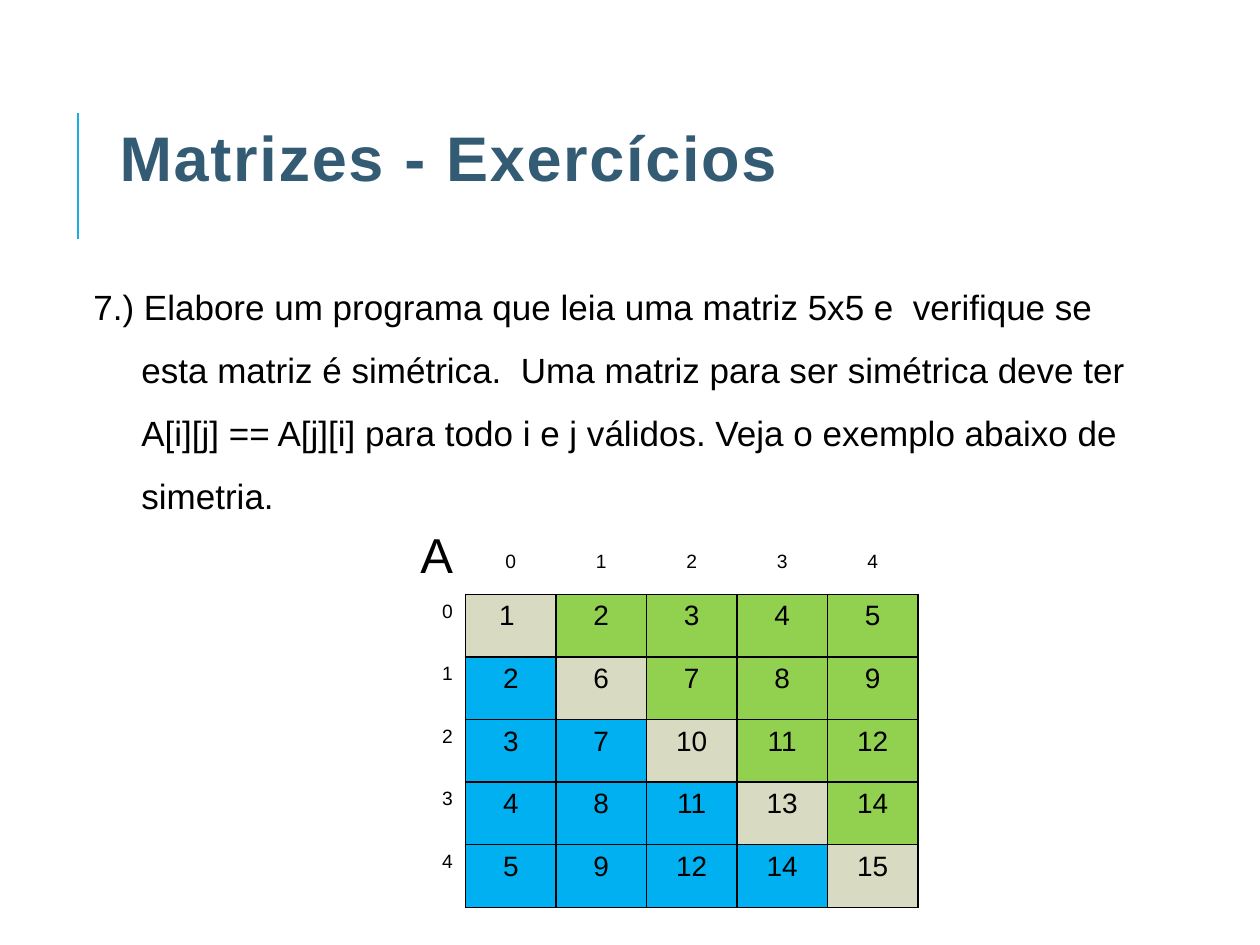
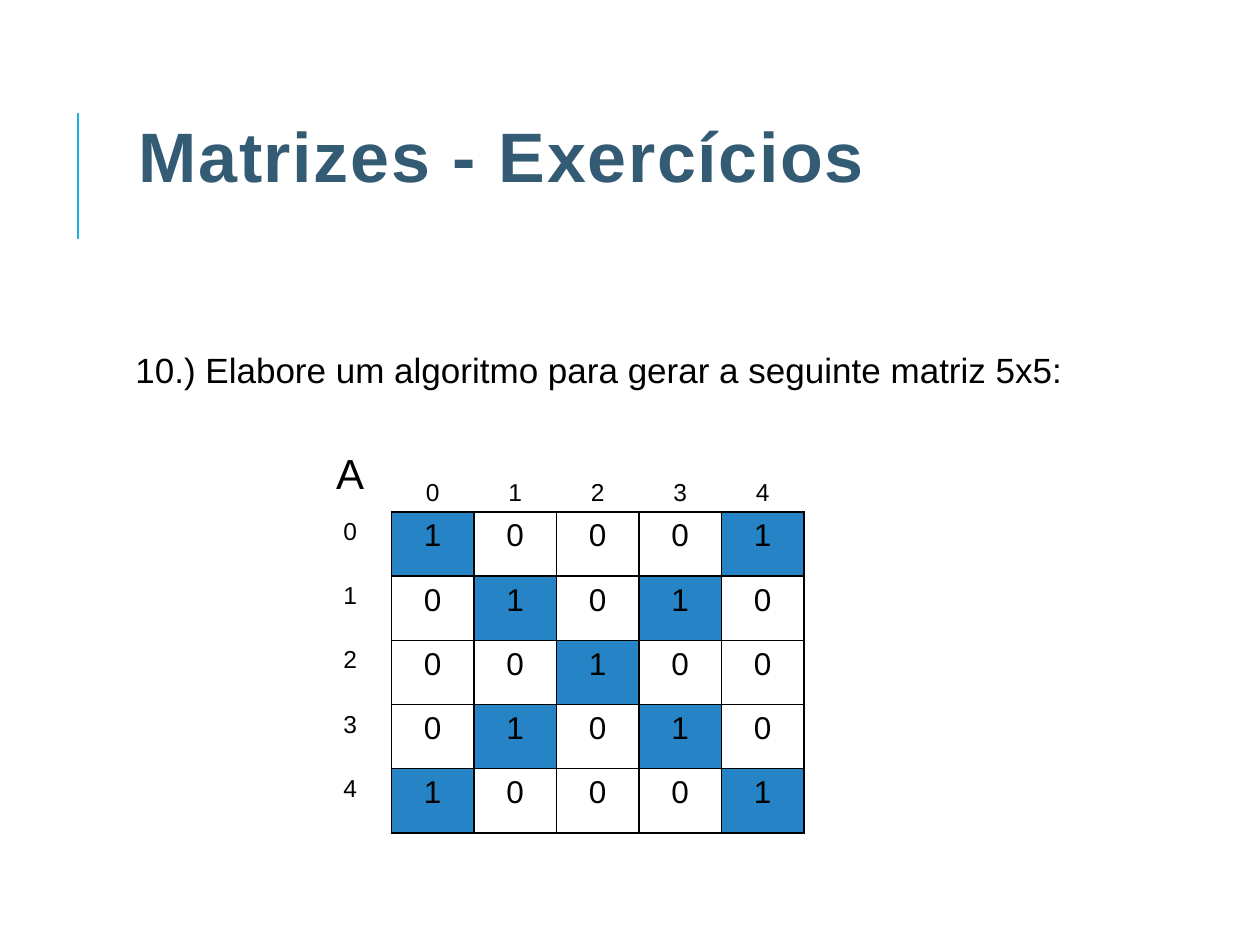
"""Builds two slides of matrix exercises, each with a statement and an indexed 5x5 matrix."""
import pptx
import pptx.dml.color
import pptx.enum.shapes
import pptx.enum.text
import pptx.oxml
import pptx.oxml.ns
import pptx.util

PIXELS_PER_INCH = 126
FONT = "Arial"
BLACK, TITLE_COLOR, ACCENT = "000000", "335B74", "1CADE4"
GREEN, BLUE, BEIGE, DARK_BLUE = "92D050", "00B0F0", "D8DAC2", "2683C6"
NO_STYLE = "{2D5ABB26-0587-4C30-8999-92F81FD0307C}"
ALIGN = pptx.enum.text.PP_ALIGN
SIZE = 5


def px(length):
    return pptx.util.Emu(round(length * 914400 / PIXELS_PER_INCH))


def format_paragraph(paragraph, size, color=BLACK, alignment=ALIGN.LEFT, bold=False):
    paragraph.alignment = alignment
    paragraph.font.name = FONT
    paragraph.font.size = pptx.util.Pt(size)
    paragraph.font.bold = bold
    paragraph.font.color.rgb = pptx.dml.color.RGBColor.from_string(color)


symmetric_values = [
    ["1 ", 2, 3, 4, 5],
    [2, 6, 7, 8, 9],
    [3, 7, 10, 11, 12],
    [4, 8, 11, 13, 14],
    [5, 9, 12, 14, 15],
]
symmetric_fills = [
    [BEIGE if row == column else GREEN if column > row else BLUE for column in range(SIZE)]
    for row in range(SIZE)
]
cross_values = [
    [int(column in (row, SIZE - 1 - row)) for column in range(SIZE)] for row in range(SIZE)
]
cross_fills = [[DARK_BLUE if value else None for value in row] for row in cross_values]

exercises = [
    {
        "title_box": (107, 77, 1134, 158), "title_size": 36,
        "statement": "7.) Elabore um programa que leia uma matriz 5x5 e  verifique se esta matriz "
                     "é simétrica.  Uma matriz para ser simétrica deve ter A[i][j] == A[j][i] "
                     "para todo i e j válidos. Veja o exemplo abaixo de simetria.",
        "statement_box": (81, 258, 1097, 141), "margin": 48, "indent": -48, "line_spacing": 1.5,
        "table_box": (375, 523, 543, 384), "header_height": 71, "header_margin": 28,
        "name_size": 28, "index_size": 11, "value_size": 16, "row_alignment": ALIGN.RIGHT,
        "values": symmetric_values, "fills": symmetric_fills,
    },
    {
        "title_box": (126, 76, 1134, 158), "title_size": 40,
        "statement": "10.) Elabore um algoritmo para gerar a seguinte matriz 5x5:",
        "statement_box": (108, 342, 1002, 60), "margin": 50, "indent": -35, "line_spacing": 1.0,
        "table_box": (309, 445, 495, 388), "header_height": 67, "header_margin": 34,
        "name_size": 24, "index_size": 14, "value_size": 18, "row_alignment": ALIGN.CENTER,
        "values": cross_values, "fills": cross_fills,
    },
]

presentation = pptx.Presentation()
presentation.slide_width = px(1260)
presentation.slide_height = px(945)

for exercise in exercises:
    slide = presentation.slides.add_slide(presentation.slide_layouts[5])

    rule = slide.shapes.add_connector(
        pptx.enum.shapes.MSO_CONNECTOR.STRAIGHT, px(78), px(239), px(78), px(113))
    rule.line.color.rgb = pptx.dml.color.RGBColor.from_string(ACCENT)
    rule.line.width = pptx.util.Pt(1.5)
    rule._element.spPr.append(pptx.oxml.parse_xml(
        f"<a:effectLst {pptx.oxml.ns.nsdecls('a')}/>"))

    title = slide.shapes.title
    title.left, title.top, title.width, title.height = map(px, exercise["title_box"])
    title.text_frame.text = "Matrizes - Exercícios"
    title.text_frame.vertical_anchor = pptx.enum.text.MSO_ANCHOR.MIDDLE
    title_paragraph = title.text_frame.paragraphs[0]
    format_paragraph(title_paragraph, exercise["title_size"], TITLE_COLOR, bold=True)
    title_paragraph.runs[0]._r.get_or_add_rPr().set("spc", "100")

    statement = slide.shapes.add_textbox(*map(px, exercise["statement_box"]))
    statement.text_frame.word_wrap = True
    paragraph = statement.text_frame.paragraphs[0]
    paragraph.text = exercise["statement"]
    paragraph.line_spacing = exercise["line_spacing"]
    format_paragraph(paragraph, 20)
    paragraph_properties = paragraph._p.get_or_add_pPr()
    paragraph_properties.set("marL", str(px(exercise["margin"])))
    paragraph_properties.set("indent", str(px(exercise["indent"])))

    left, top, width, height = exercise["table_box"]
    table = slide.shapes.add_table(
        SIZE + 1, SIZE + 1, px(left), px(top), px(width), px(height)).table
    table.first_row = table.horz_banding = False
    table._tbl.tblPr.find(pptx.oxml.ns.qn("a:tableStyleId")).text = NO_STYLE
    for column in table.columns:
        column.width = px(width / (SIZE + 1))
    for row in table.rows:
        row.height = px((height - exercise["header_height"]) / SIZE)
    table.rows[0].height = px(exercise["header_height"])

    for row in range(SIZE + 1):
        for column in range(SIZE + 1):
            cell = table.cell(row, column)
            text, fill, sides = "A", None, ""
            size, alignment = exercise["name_size"], exercise["row_alignment"]
            if row and column:
                text = exercise["values"][row - 1][column - 1]
                fill = exercise["fills"][row - 1][column - 1]
                size, alignment, sides = exercise["value_size"], ALIGN.CENTER, "LRTB"
            elif row:
                text, size, sides = row - 1, exercise["index_size"], "R"
            elif column:
                text, size, sides = column - 1, exercise["index_size"], "B"
                alignment = ALIGN.CENTER
                cell.margin_top = px(exercise["header_margin"])
                cell.margin_bottom = 0
            cell.text = str(text)
            format_paragraph(cell.text_frame.paragraphs[0], size, alignment=alignment)
            if fill:
                cell.fill.solid()
                cell.fill.fore_color.rgb = pptx.dml.color.RGBColor.from_string(fill)
            else:
                cell.fill.background()
            for position, side in enumerate(sides):
                cell._tc.get_or_add_tcPr().insert(position, pptx.oxml.parse_xml(
                    f"<a:ln{side} {pptx.oxml.ns.nsdecls('a')} w='12700'><a:solidFill>"
                    f"<a:srgbClr val='{BLACK}'/></a:solidFill></a:ln{side}>"))

presentation.save("out.pptx")
